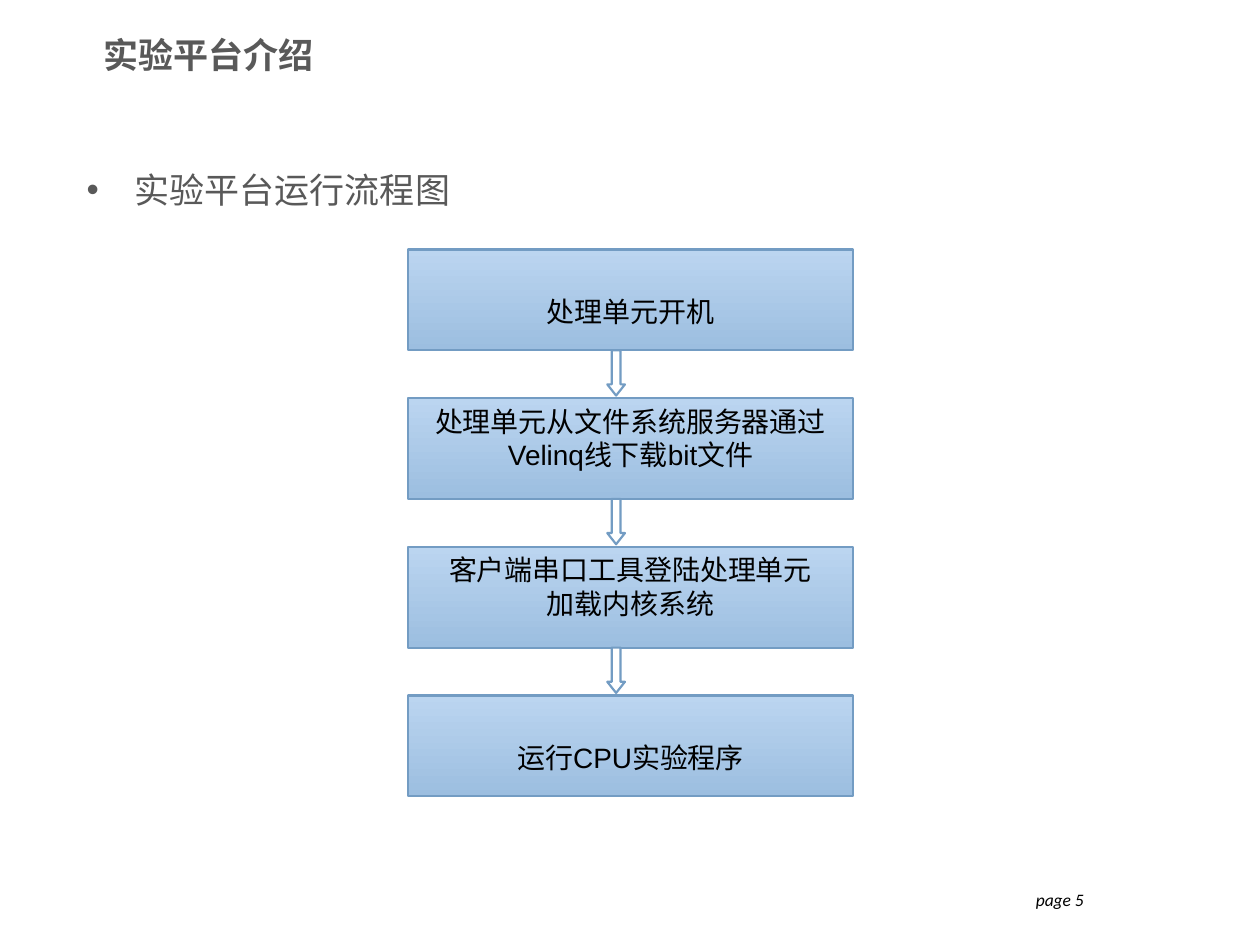
from lxml import etree
from pptx import Presentation
from pptx.dml.color import RGBColor
from pptx.enum.shapes import MSO_SHAPE
from pptx.enum.text import MSO_ANCHOR, PP_ALIGN
from pptx.oxml.ns import qn
from pptx.util import Inches, Pt

BOX, ARROW = MSO_SHAPE.FLOWCHART_PROCESS, MSO_SHAPE.DOWN_ARROW
TOP, MID = MSO_ANCHOR.TOP, MSO_ANCHOR.MIDDLE
LEFT, MIDDLE, RIGHT = PP_ALIGN.LEFT, PP_ALIGN.CENTER, PP_ALIGN.RIGHT

# Content
TITLE = "实验平台介绍"
POINT = "实验平台运行流程图"
PAGE = "page 5"
STEPS = [
    ["处理单元开机"],
    ["处理单元从文件系统服务器通过", "Velinq线下载bit文件"],
    ["客户端串口工具登陆处理单元", "加载内核系统"],
    ["运行CPU实验程序"],
]

# Look
HEX = {"gray": "595959", "black": "000000", "white": "FFFFFF",
       "light": "BBD5F0", "deep": "9CBEE0", "edge": "739CC3"}
HEAD = {"name": "Noto Sans CJK SC", "size": Pt(20), "bold": True}
BODY = {"name": "Noto Sans CJK SC", "size": Pt(20)}
STEP = {"name": "Arial", "size": Pt(16)}
FOOT = {"name": "Calibri", "size": Pt(10), "italic": True}

# Flow grid, in inches
BOX_X, BOX_Y, BOX_W, BOX_H = 3.24, 1.98, 3.53, 0.8
PITCH = 1.18
ARROW_X, ARROW_W, ARROW_H = 4.82, 0.14, 0.36


def color(key):
    return RGBColor.from_string(HEX[key])


def place(shape, *area):
    for key, val in zip(("left", "top", "width", "height"), area):
        setattr(shape, key, Inches(val))


def write(shape, lines, look, ink, align, anchor=TOP, pad=(0.1, 0.05)):
    frame = shape.text_frame
    side, top = (Inches(v) for v in pad)
    form = {"word_wrap": True, "vertical_anchor": anchor, "margin_left": side,
            "margin_right": side, "margin_top": top, "margin_bottom": 0}
    if anchor == MID:
        form["margin_bottom"] = top
    for key, val in form.items():
        setattr(frame, key, val)
    for i, line in enumerate(lines):
        para = frame.add_paragraph() if i else frame.paragraphs[0]
        para.alignment = align
        run = para.add_run()
        run.text = line
        for key, val in look.items():
            setattr(run.font, key, val)
        run.font.color.rgb = color(ink)
        east = etree.SubElement(run.font._element, qn("a:ea"))
        east.set("typeface", look["name"])


def edge(shape):
    shape.shadow.inherit = False
    shape.line.color.rgb = color("edge")
    shape.line.width = Pt(1.25)


def shade(shape):
    shape.fill.gradient()
    shape.fill.gradient_angle = 270
    for stop, key in zip(shape.fill.gradient_stops, ("light", "deep")):
        stop.color.rgb = color(key)
    for stop, spot in zip(shape.fill.gradient_stops, (0, 1)):
        stop.position = spot


def add_text(shapes, area, *args, **opts):
    box = shapes.add_textbox(*(Inches(v) for v in area))
    write(box, *args, **opts)
    return box


def add_bullet(box):
    props = box.text_frame.paragraphs[0]._p.get_or_add_pPr()
    props.set("marL", str(Inches(0.38)))
    props.set("indent", str(-Inches(0.38)))
    tint = etree.SubElement(props, qn("a:buClr"))
    etree.SubElement(tint, qn("a:srgbClr")).set("val", HEX["gray"])
    etree.SubElement(props, qn("a:buFont")).set("typeface", "Arial")
    etree.SubElement(props, qn("a:buChar")).set("char", "•")


def add_flow(shapes):
    for i, lines in enumerate(STEPS):
        y = BOX_Y + i * PITCH
        box = shapes.add_shape(BOX, 0, 0, 0, 0)
        place(box, BOX_X, y, BOX_W, BOX_H)
        edge(box)
        shade(box)
        # Single lines sit one line lower
        top = 0.36 if len(lines) == 1 else 0.05
        write(box, lines, STEP, "black", MIDDLE, pad=(0.1, top))
    for i in range(len(STEPS) - 1):
        arrow = shapes.add_shape(ARROW, 0, 0, 0, 0)
        place(arrow, ARROW_X, BOX_Y + i * PITCH + BOX_H, ARROW_W, ARROW_H)
        arrow.adjustments[0], arrow.adjustments[1] = 0.5, 0.63
        edge(arrow)
        arrow.fill.solid()
        arrow.fill.fore_color.rgb = color("white")


def main():
    deck = Presentation()
    deck.slide_width, deck.slide_height = Inches(10), Inches(7.5)
    slide = deck.slides.add_slide(deck.slide_layouts[5])
    shapes = slide.shapes

    # Title
    place(shapes.title, 0.72, 0.2, 6.22, 0.47)
    write(shapes.title, [TITLE], HEAD, "gray", LEFT, anchor=MID)

    # Page mark, bullet and flow chart
    add_text(shapes, (6.37, 7.01, 2.33, 0.52), [PAGE], FOOT, "black", RIGHT)
    point = add_text(shapes, (0.59, 1.34, 8.66, 5.01), [POINT], BODY, "gray",
                     LEFT, pad=(0.1, 0))
    add_bullet(point)
    add_flow(shapes)

    deck.save("out.pptx")


if __name__ == "__main__":
    main()
